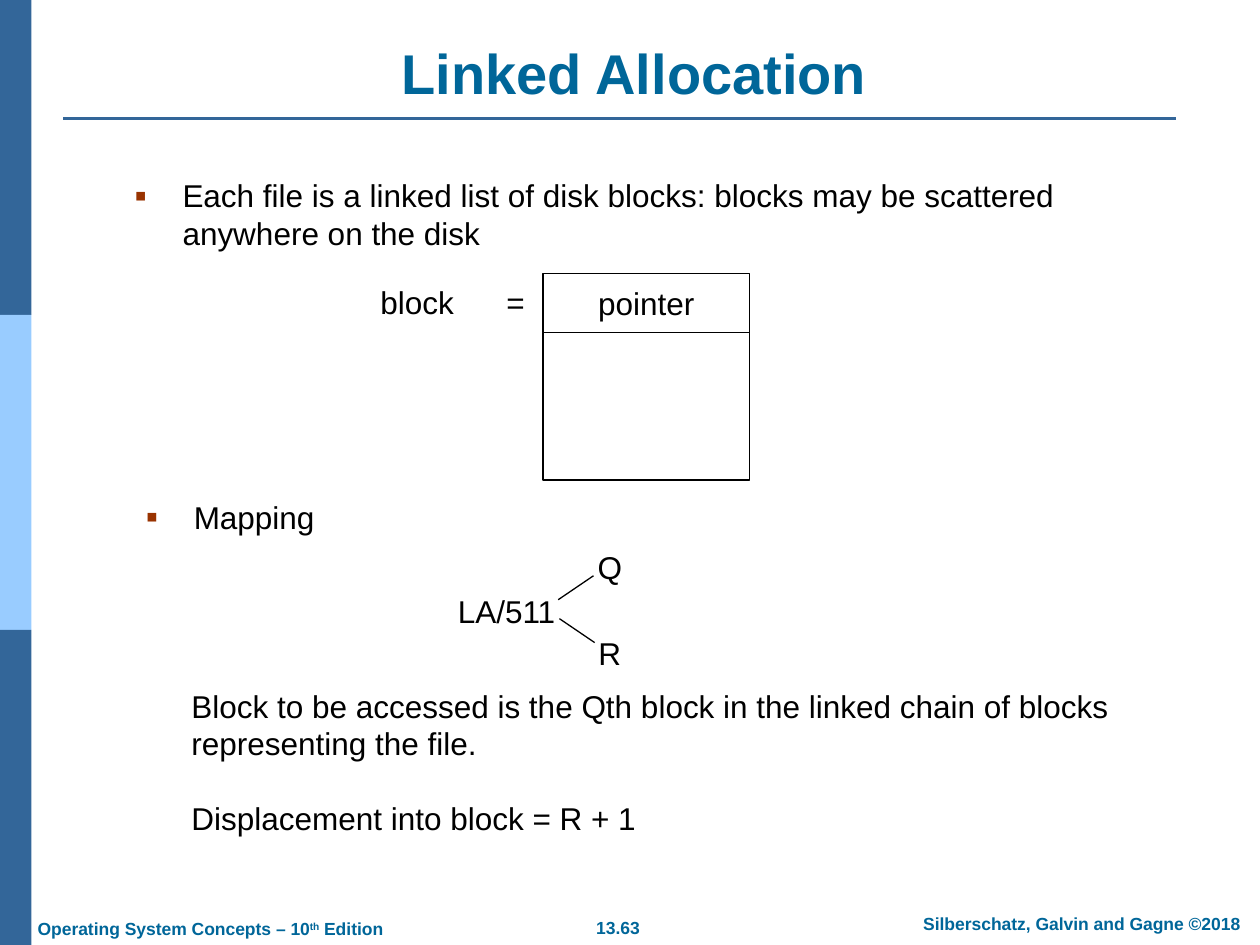
from dataclasses import dataclass

from lxml import etree
from pptx import Presentation
from pptx.dml.color import RGBColor
from pptx.enum.shapes import MSO_CONNECTOR, MSO_SHAPE
from pptx.enum.text import MSO_ANCHOR, PP_ALIGN
from pptx.oxml.ns import qn
from pptx.util import Inches, Pt

LEFT, CENTER = PP_ALIGN.LEFT, PP_ALIGN.CENTER
TOP, MIDDLE, BOTTOM = MSO_ANCHOR.TOP, MSO_ANCHOR.MIDDLE, MSO_ANCHOR.BOTTOM
RECT, LINE = MSO_SHAPE.RECTANGLE, MSO_CONNECTOR.STRAIGHT


@dataclass(frozen=True)
class Theme:
    font: str = "Arial"
    dark: str = "336699"
    light: str = "99CCFF"
    head: str = "006699"
    mark: str = "993300"
    ink: str = "000000"
    paper: str = "FFFFFF"
    title: int = 32
    body: int = 18
    foot: int = 10


THEME = Theme()


def rgb(code):
    return RGBColor.from_string(code)


def add_run(para, words, size=THEME.body, color=THEME.ink, bold=False):
    run = para.add_run()
    run.text = words
    font = run.font
    font.name, font.size, font.bold = THEME.font, Pt(size), bold
    font.color.rgb = rgb(color)
    return run


def add_text(slide, box, words="", align=LEFT, anchor=TOP, wrap=True, **style):
    frame = slide.shapes.add_textbox(*map(Inches, box)).text_frame
    frame.word_wrap, frame.vertical_anchor = wrap, anchor
    para = frame.paragraphs[0]
    para.alignment = align
    if words:
        add_run(para, words, **style)
    return frame


def add_rect(slide, box, fill, line=None):
    rect = slide.shapes.add_shape(RECT, *map(Inches, box))
    rect.shadow.inherit = False
    rect.fill.solid()
    rect.fill.fore_color.rgb = rgb(fill)
    if line:
        rect.line.color.rgb = rgb(line)
        rect.line.width = Pt(0.75)
    else:
        rect.line.fill.background()
    return rect


def add_line(slide, start, end, color, width):
    line = slide.shapes.add_connector(LINE, *map(Inches, start + end))
    line.line.color.rgb = rgb(color)
    line.line.width = Pt(width)
    etree.SubElement(line._element.spPr, qn("a:effectLst"))


def add_bullet(slide, box, words):
    para = add_text(slide, box, words).paragraphs[0]
    props = para._p.get_or_add_pPr()
    props.set("marL", str(Inches(0.38)))
    props.set("indent", str(-Inches(0.38)))
    color = etree.SubElement(props, qn("a:buClr"))
    etree.SubElement(color, qn("a:srgbClr"), val=THEME.mark)
    etree.SubElement(props, qn("a:buSzPct"), val="110000")
    etree.SubElement(props, qn("a:buFont"), typeface=THEME.font)
    etree.SubElement(props, qn("a:buChar"), char="▪")


def add_side(slide, x, y, w, h):
    """Three equal colour bands."""
    band = h / 3
    for i, fill in enumerate((THEME.dark, THEME.light, THEME.dark)):
        add_rect(slide, (x, y + i * band, w, band), fill)


def add_head(slide, x, y, w, h):
    """Title with a rule below."""
    add_text(slide, (x, y, w, h), "Linked Allocation", CENTER, BOTTOM,
             size=THEME.title, color=THEME.head, bold=True)
    add_line(slide, (0.5, y + h + 0.05), (9.33, y + h + 0.05), THEME.dark, 1.5)


def add_foot(slide, x, y, w, h):
    """Book, page number and authors."""
    style = dict(size=THEME.foot, color=THEME.head, bold=True)
    book = add_text(slide, (x, y + 0.04, 2.99, h), wrap=False).paragraphs[0]
    add_run(book, "Operating System Concepts – 10", **style)
    add_run(book, "th", **style).font._element.set("baseline", "30000")
    add_run(book, " Edition", **style)
    add_text(slide, (x + 4.42, y + 0.03, 0.57, h), "13.63", CENTER,
             wrap=False, **style)
    add_text(slide, (x + w - 2.97, y, 2.97, h),
             "Silberschatz, Galvin and Gagne ©2018", CENTER, **style)


def add_block(slide, x, y, w, h):
    """Block layout: pointer above data, with its label."""
    left, top = 1.39, 0.47
    cell = add_rect(slide, (x + left, y, w - left, top), THEME.paper, THEME.ink)
    frame = cell.text_frame
    frame.word_wrap, frame.vertical_anchor = False, MIDDLE
    frame.paragraphs[0].alignment = CENTER
    add_run(frame.paragraphs[0], "pointer")
    add_rect(slide, (x + left, y + top, w - left, h - top),
             THEME.paper, THEME.ink)
    label = add_text(slide, (x, y + 0.03, 1.36, 0.4), "block\t=", anchor=MIDDLE)
    props = label.paragraphs[0]._p.get_or_add_pPr()
    tabs = etree.SubElement(props, qn("a:tabLst"))
    etree.SubElement(tabs, qn("a:tab"), pos=str(Inches(1)), algn="l")


def add_split(slide, x, y, w, h):
    """Address divided into quotient and remainder."""
    row = 0.4
    right, low = x + w - row, y + h - row
    parts = (("LA/511", x, y + 0.35, 0.98), ("Q", right, y, row),
             ("R", right, low, row))
    for words, left, top, width in parts:
        add_text(slide, (left, top, width, row), words, CENTER, MIDDLE, False)
    add_line(slide, (x + 0.9, y + 0.46), (x + 1.18, y + 0.27), THEME.ink, 0.75)
    add_line(slide, (x + 0.91, y + 0.61), (x + 1.19, y + 0.8), THEME.ink, 0.75)


def add_notes(slide, x, y, w, h):
    """Closing explanation."""
    frame = add_text(slide, (x, y, w, h), "Block to be accessed is the Qth block "
                     "in the linked chain of blocks representing the file.")
    last = frame.add_paragraph()
    last.space_before = Pt(21)
    add_run(last, "Displacement into block = R + 1")


def main():
    deck = Presentation()
    deck.slide_width, deck.slide_height = Inches(10), Inches(7.5)
    slide = deck.slides.add_slide(deck.slide_layouts[6])
    add_side(slide, 0, 0, 0.25, 7.5)
    add_head(slide, 0.72, 0.26, 8.63, 0.63)
    add_foot(slide, 0.2, 7.2, 9.87, 0.27)
    add_bullet(slide, (0.97, 1.35, 8.29, 0.82),
               "Each file is a linked list of disk blocks: "
               "blocks may be scattered anywhere on the disk")
    add_block(slide, 2.92, 2.17, 3.03, 1.64)
    add_bullet(slide, (1.06, 3.9, 8.06, 0.5), "Mapping")
    add_split(slide, 3.53, 4.3, 1.51, 1.08)
    add_notes(slide, 1.42, 5.4, 7.89, 1.79)
    deck.save("out.pptx")


if __name__ == "__main__":
    main()
